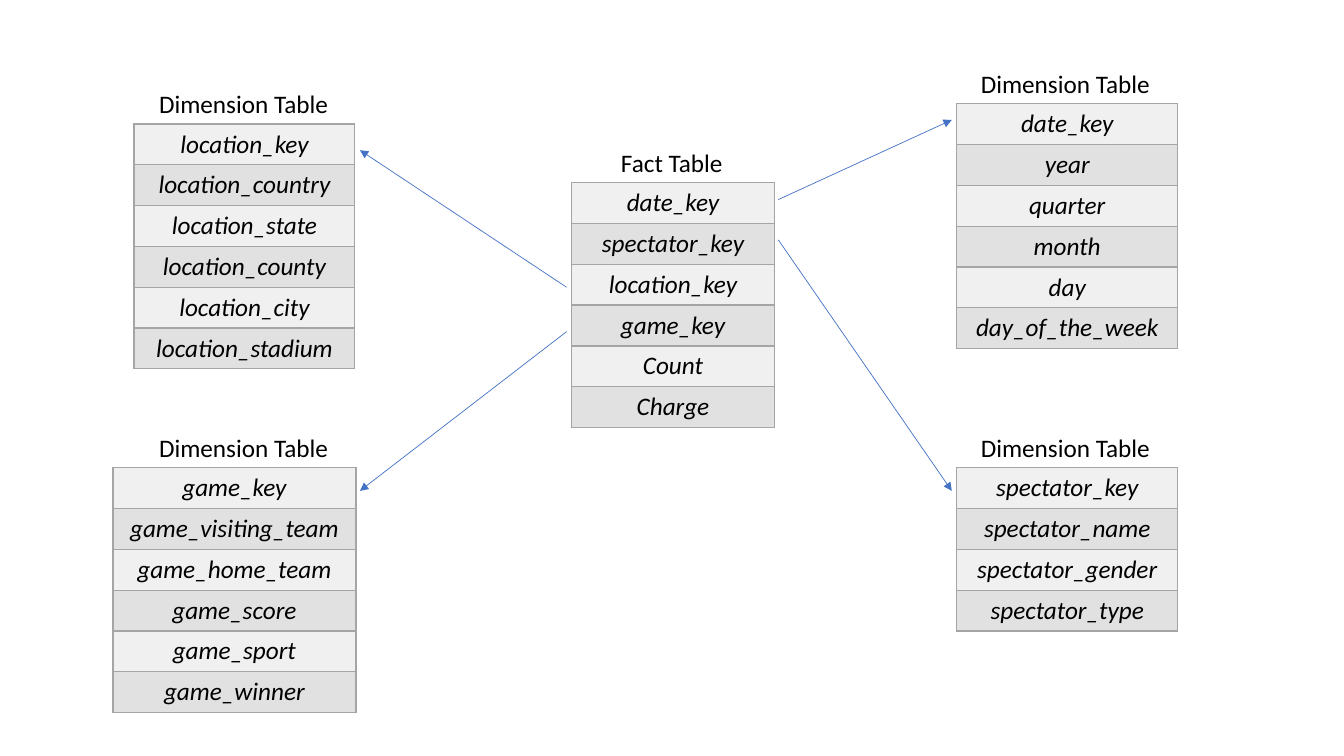
from lxml import etree
from pptx import Presentation
from pptx.dml.color import RGBColor
from pptx.enum import shapes, text
from pptx.oxml import ns
from pptx.util import Inches, Pt

BLACK = RGBColor(0x00, 0x00, 0x00)
BLUE = RGBColor(0x44, 0x72, 0xC4)
GRAY = RGBColor(0xA5, 0xA5, 0xA5)
BANDS = (RGBColor(0xF0, 0xF0, 0xF0), RGBColor(0xE1, 0xE1, 0xE1))

ROW = 0.405
HEAD = 0.4
FONT = {"name": "Calibri", "size": Pt(18)}

# caption, caption left, caption width, table left, top, width, fields
TABLES = [
    ("Fact Table", 6.06, 1.22, 5.67, 1.81, 2.01,
     ["date_key", "spectator_key", "location_key", "game_key", "Count", "Charge"]),
    ("Dimension Table", 9.63, 1.9, 9.49, 1.03, 2.19,
     ["date_key", "year", "quarter", "month", "day", "day_of_the_week"]),
    ("Dimension Table", 9.63, 1.9, 9.49, 4.64, 2.19,
     ["spectator_key", "spectator_name", "spectator_gender", "spectator_type"]),
    ("Dimension Table", 1.48, 1.9, 1.33, 1.23, 2.19,
     ["location_key", "location_country", "location_state",
      "location_county", "location_city", "location_stadium"]),
    ("Dimension Table", 1.48, 1.9, 1.12, 4.64, 2.41,
     ["game_key", "game_visiting_team", "game_home_team",
      "game_score", "game_sport", "game_winner"]),
]

# from x, from y, to x, to y
LINKS = [
    (7.72, 1.98, 9.44, 1.19),
    (7.72, 2.38, 9.44, 4.87),
    (5.62, 2.85, 3.57, 1.49),
    (5.62, 3.29, 3.57, 4.87),
]


def add_node(parent, tag, **attrs):
    """Append an XML element and return it."""
    return etree.SubElement(parent, ns.qn(tag), **attrs)


def style(run, **more):
    """Apply the shared font and any extra font values to a run."""
    for key, value in {**FONT, **more}.items():
        setattr(run.font, key, value)
    run.font.color.rgb = BLACK


def add_edges(cell):
    """Draw a thin gray border on all four sides of a cell."""
    props = cell._tc.get_or_add_tcPr()
    for side in ("L", "R", "T", "B"):
        edge = add_node(props, f"a:ln{side}", w=str(Pt(1)))
        fill = add_node(edge, "a:solidFill")
        add_node(fill, "a:srgbClr", val=str(GRAY))


def add_fields(slide, left, top, width, fields):
    """Add a one-column banded table of field names."""
    frame = slide.shapes.add_table(
        len(fields), 1, Inches(left), Inches(top),
        Inches(width), Inches(ROW * len(fields)))
    table = frame.table
    for key in ("first_row", "horz_banding"):
        setattr(table, key, False)
    for i, field in enumerate(fields):
        cell = table.cell(i, 0)
        add_edges(cell)
        cell.fill.solid()
        cell.fill.fore_color.rgb = BANDS[i % 2]
        para = cell.text_frame.paragraphs[0]
        para.alignment = text.PP_ALIGN.CENTER
        run = para.add_run()
        run.text = field
        style(run, italic=True)


def add_label(slide, words, left, top, width):
    """Add a caption above a table."""
    box = slide.shapes.add_textbox(
        Inches(left), Inches(top), Inches(width), Inches(HEAD))
    frame = box.text_frame
    frame.word_wrap = False
    frame.auto_size = text.MSO_AUTO_SIZE.SHAPE_TO_FIT_TEXT
    run = frame.paragraphs[0].add_run()
    run.text = words
    style(run)


def add_link(slide, *ends):
    """Add an arrow from a fact key to its dimension."""
    link = slide.shapes.add_connector(
        shapes.MSO_CONNECTOR.STRAIGHT, *map(Inches, ends))
    link.line.color.rgb = BLUE
    link.line.width = Pt(0.5)
    add_node(link.line._get_or_add_ln(), "a:tailEnd", type="triangle")
    add_node(link._element.spPr, "a:effectLst")


def main():
    """Build the star schema slide."""
    deck = Presentation()
    deck.slide_width = Inches(13.33)
    deck.slide_height = Inches(7.5)
    slide = deck.slides.add_slide(deck.slide_layouts[6])
    for words, start, span, left, top, width, fields in TABLES:
        add_fields(slide, left, top, width, fields)
        add_label(slide, words, start, top - HEAD, span)
    for ends in LINKS:
        add_link(slide, *ends)
    deck.save("out.pptx")


main()
